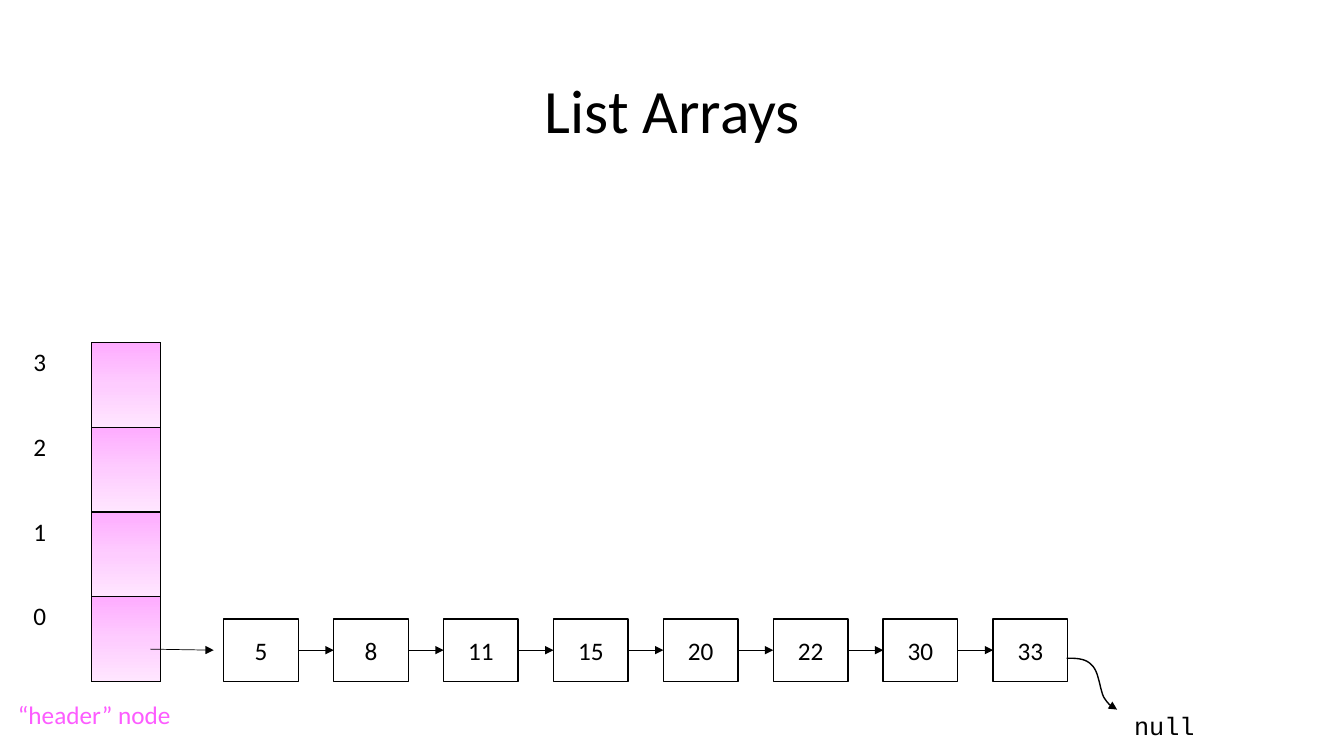
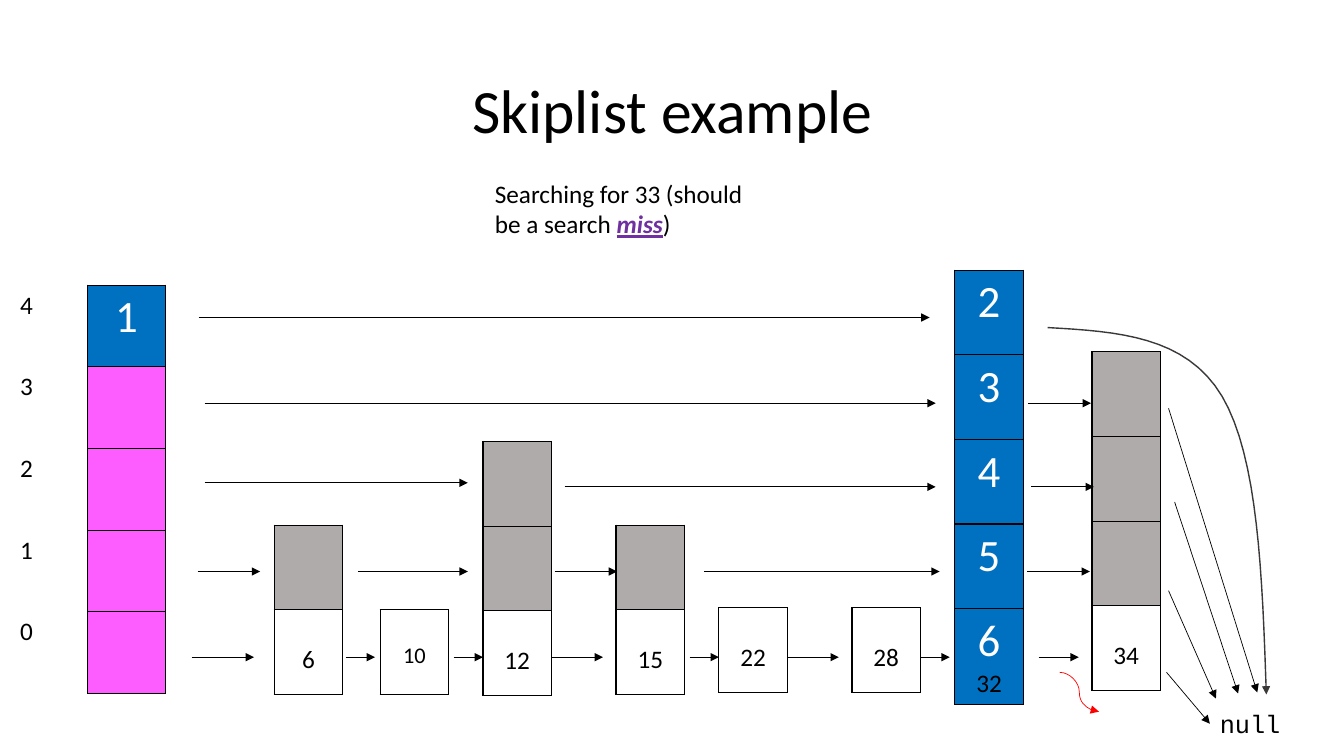
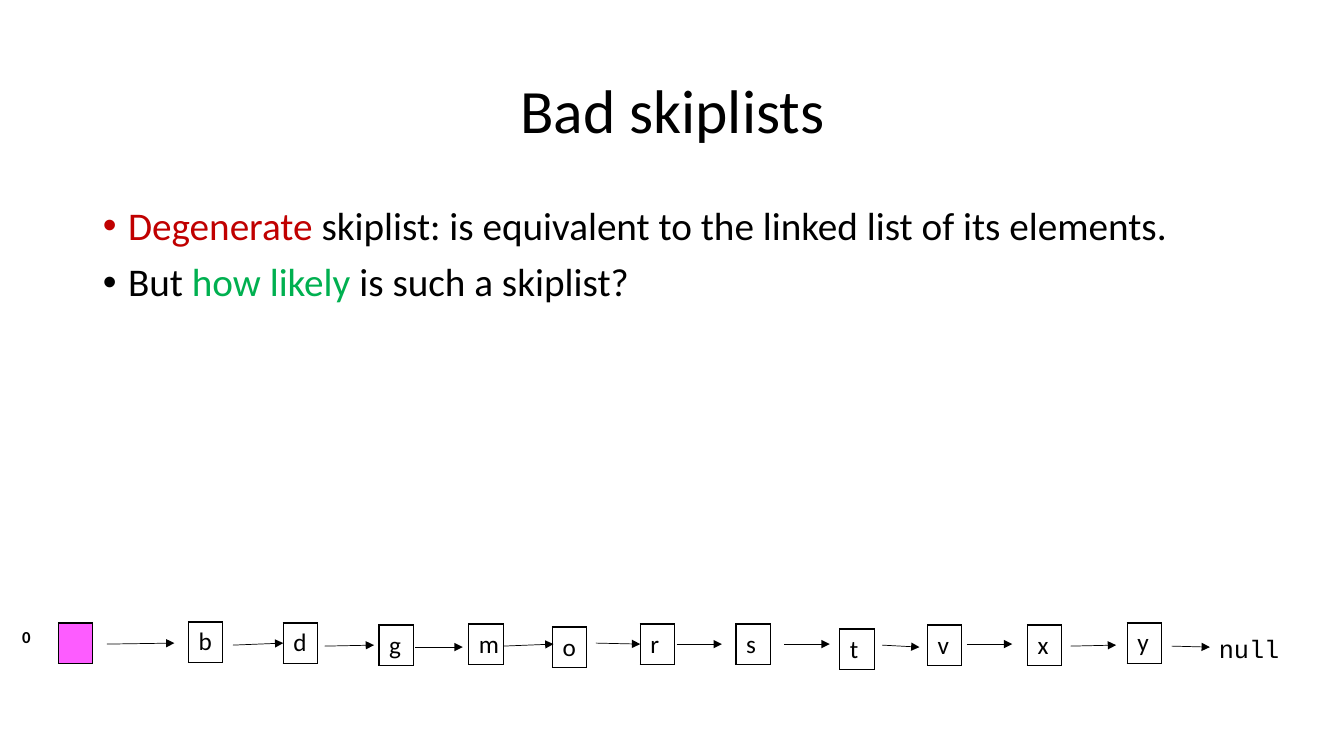
from copy import deepcopy
from dataclasses import dataclass

from lxml import etree
from pptx import Presentation
from pptx.dml.color import RGBColor
from pptx.enum import shapes, text
from pptx.oxml.ns import qn
from pptx.util import Inches, Pt


@dataclass(frozen=True)
class Theme:
    font: str = "Calibri"
    mono: str = "Courier New"
    ink: str = "000000"
    white: str = "FFFFFF"
    pink: str = "FD5CFF"
    pink_fade: tuple = ("FEACFF", "FECCFF", "FFE6FF")
    blue: str = "0070C0"
    gray: str = "AFABAB"
    charcoal: str = "3B3838"
    purple: str = "7030A0"
    signal: str = "FF0000"
    red: str = "C00000"
    green: str = "00B050"
    title_size: int = 44
    body_size: int = 28
    step_size: int = 32
    text_size: int = 18
    tight_size: int = 16
    small_size: int = 12
    border: float = 1
    arrow: float = 0.5


THEME = Theme()
PLAIN_TABLE = "{2D5ABB26-0587-4C30-8999-92F81FD0307C}"
CENTER = text.PP_ALIGN.CENTER
CELL_WIDTH, CELL_HEIGHT = 0.68, 0.84
LETTER_WIDTH, LETTER_HEIGHT = 0.34, 0.4


@dataclass
class Cell:
    """A table cell; each line is (text, format), and base is its bottom margin if set."""
    lines: tuple = ()
    fill: object = None
    align: object = CENTER
    bordered: bool = True
    base: float = None


def add_span(para, words, size=THEME.text_size, color=THEME.ink, font=THEME.font,
             bold=False, italic=False, underline=False):
    span = para.add_run()
    span.text = words
    style = span.font
    style.name, style.size = font, Pt(size)
    style.bold, style.italic, style.underline = bold, italic, underline
    style.color.rgb = RGBColor.from_string(color)


def set_line(shape, color, width, arrow=False):
    shape.line.color.rgb = RGBColor.from_string(color)
    shape.line.width = Pt(width)
    if arrow:
        line = shape._element.spPr.find(qn("a:ln"))
        etree.SubElement(line, qn("a:tailEnd"), type="triangle")


def set_cell_fill(cell, fill):
    """Fill with nothing, one colour, or a top-to-bottom fade of three colours."""
    if fill is None:
        cell.fill.background()
    elif isinstance(fill, str):
        cell.fill.solid()
        cell.fill.fore_color.rgb = RGBColor.from_string(fill)
    else:
        cell.fill.gradient()
        cell.fill.gradient_angle = 270
        stops = cell._tc.tcPr.find(".//" + qn("a:gsLst"))
        stops.insert(1, deepcopy(stops[0]))
        for stop, position, color in zip(cell.fill.gradient_stops, (0, 0.5, 1), fill):
            stop.position = position
            stop.color.rgb = RGBColor.from_string(color)


def set_cell_borders(cell):
    properties = cell._tc.get_or_add_tcPr()
    for side in ("lnL", "lnR", "lnT", "lnB"):
        line = etree.SubElement(properties, qn("a:" + side), w=str(Pt(THEME.border)))
        paint = etree.SubElement(line, qn("a:solidFill"))
        etree.SubElement(paint, qn("a:srgbClr"), val=THEME.ink)


def bezier(start, control_a, control_b, end, steps=16):
    """Points on a cubic curve, without its start."""
    points = []
    for step in range(1, steps + 1):
        t = step / steps
        weights = ((1 - t) ** 3, 3 * t * (1 - t) ** 2, 3 * t * t * (1 - t), t ** 3)
        corners = (start, control_a, control_b, end)
        points.append(tuple(sum(w * c[axis] for w, c in zip(weights, corners))
                            for axis in (0, 1)))
    return points


class Deck:
    """Holds the presentation and the page being drawn."""

    def __init__(self):
        self.deck = Presentation()
        self.deck.slide_width, self.deck.slide_height = Inches(13.33), Inches(7.5)
        self.page = None

    def new_page(self, title, layout=5):
        self.page = self.deck.slides.add_slide(self.deck.slide_layouts[layout])
        frame = self.place(self.page.shapes.title, 0.92, 0.4, 11.5, 1.45)
        frame.vertical_anchor = text.MSO_ANCHOR.MIDDLE
        para = frame.paragraphs[0]
        para.alignment, para.line_spacing = CENTER, 0.9
        add_span(para, title, size=THEME.title_size)

    def place(self, holder, left, top, width, height):
        holder.left, holder.top = Inches(left), Inches(top)
        holder.width, holder.height = Inches(width), Inches(height)
        frame = holder.text_frame
        frame.auto_size = text.MSO_AUTO_SIZE.NONE
        return frame

    def bullets(self, items):
        frame = self.place(self.page.placeholders[1], 0.92, 2, 11.5, 4.76)
        for index, spans in enumerate(items):
            para = frame.add_paragraph() if index else frame.paragraphs[0]
            properties = para._p.get_or_add_pPr()
            properties.set("marL", str(Inches(0.25)))
            properties.set("indent", str(Inches(-0.25)))
            etree.SubElement(properties, qn("a:buFont"), typeface="Arial")
            etree.SubElement(properties, qn("a:buChar"), char="•")
            para.line_spacing = 0.9
            para.space_before = Pt(10 if index else 0)
            for words, style in spans:
                add_span(para, words, size=THEME.body_size, **style)

    def label(self, left, top, width, *spans, height=0.4):
        box = self.page.shapes.add_textbox(*map(Inches, (left, top, width, height)))
        box.text_frame.word_wrap = True
        for words, style in spans:
            add_span(box.text_frame.paragraphs[0], words, **style)

    def null(self, left, top):
        self.label(left, top, 0.84, ("null", {"font": THEME.mono}))

    def box(self, left, top, width, height, words):
        box = self.page.shapes.add_shape(shapes.MSO_SHAPE.RECTANGLE,
                                         *map(Inches, (left, top, width, height)))
        box.shadow.inherit = False
        box.fill.background()
        set_line(box, THEME.ink, THEME.border)
        box.text_frame.vertical_anchor = text.MSO_ANCHOR.MIDDLE
        para = box.text_frame.paragraphs[0]
        para.alignment = CENTER
        add_span(para, words)
        return box

    def arrow(self, x1, y1, x2, y2, color=THEME.ink, kind=shapes.MSO_CONNECTOR.STRAIGHT):
        line = self.page.shapes.add_connector(kind, *map(Inches, (x1, y1, x2, y2)))
        set_line(line, color, THEME.arrow, arrow=True)
        etree.SubElement(line._element.spPr, qn("a:effectLst"))
        return line

    def join(self, source, target):
        line = self.arrow(0, 0, 1, 1)
        line.begin_connect(source, 3)
        line.end_connect(target, 1)

    def curve(self, start, *segments, color=THEME.ink):
        """An arrow along cubic segments, each (control, control, end)."""
        points = [start]
        for segment in segments:
            points += bezier(points[-1], *segment)
        points = [tuple(map(Inches, point)) for point in points]
        builder = self.page.shapes.build_freeform(*points[0])
        builder.add_line_segments(points[1:], close=False)
        outline = builder.convert_to_shape()
        outline.shadow.inherit = False
        outline.fill.background()
        set_line(outline, color, THEME.border, arrow=True)

    def table(self, left, top, widths, heights, rows):
        table = self.page.shapes.add_table(
            len(heights), len(widths),
            *map(Inches, (left, top, sum(widths), sum(heights)))).table
        table.first_row = table.horz_banding = False
        table._tbl.tblPr.find(qn("a:tableStyleId")).text = PLAIN_TABLE
        for column, width in zip(table.columns, widths):
            column.width = Inches(width)
        for row, height, contents in zip(table.rows, heights, rows):
            row.height = Inches(height)
            for cell, content in zip(row.cells, contents):
                self.fill_cell(cell, content)

    def fill_cell(self, cell, content):
        if content.bordered:
            set_cell_borders(cell)
        set_cell_fill(cell, content.fill)
        if content.base is not None:
            cell.vertical_anchor = text.MSO_ANCHOR.BOTTOM
            cell.margin_bottom = Inches(content.base)
        for index, (words, style) in enumerate(content.lines):
            para = cell.text_frame.add_paragraph() if index else cell.text_frame.paragraphs[0]
            para.alignment = content.align
            add_span(para, words, **style)

    def header(self, left, top, width, height, cells):
        """The header node, with its levels counted down to 0 on its left."""
        rows = [[Cell(((str(level), {}),), align=None, bordered=False), cell]
                for level, cell in zip(reversed(range(len(cells))), cells)]
        self.table(left, top, [width] * 2, [height] * len(cells), rows)

    def tower(self, value, left, top, levels=0, size=THEME.text_size, base=0.19):
        """A skiplist node: empty gray levels above its value."""
        cells = [[Cell(fill=THEME.gray)] for _ in range(levels)]
        cells.append([Cell(((value, {"size": size}),), base=base)])
        self.table(left, top, [CELL_WIDTH], [CELL_HEIGHT] * len(cells), cells)


def step_cell(number, *more):
    """A blue cell visited by the search."""
    style = {"size": THEME.step_size, "color": THEME.white}
    return Cell(((str(number), style), *more), THEME.blue)


def list_arrays(deck):
    deck.new_page("List Arrays")
    values = ("5", "8", "11", "15", "20", "22", "30", "33")
    nodes = [deck.box(2.22 + 1.09 * index, 6.14, 0.74, 0.62, value)
             for index, value in enumerate(values)]
    for source, target in zip(nodes, nodes[1:]):
        deck.join(source, target)
    deck.header(0.23, 3.4, CELL_WIDTH, CELL_HEIGHT, [Cell(fill=THEME.pink_fade)] * 4)
    deck.label(0.08, 6.89, 1.81, ("“header” node", {"color": THEME.pink}))
    deck.arrow(1.49, 6.44, 2.12, 6.45)
    deck.curve((10.58, 6.53),
               ((10.67, 6.53), (10.77, 6.53), (10.83, 6.6)),
               ((10.9, 6.66), (10.91, 6.85), (10.95, 6.92)),
               ((11, 7), (11.04, 7.02), (11.08, 7.04)))
    deck.null(11.15, 7)


def skiplist_example(deck):
    deck.new_page("Skiplist example")
    deck.header(0.1, 2.83, 0.77, 0.81, [step_cell(1)] + [Cell(fill=THEME.pink)] * 4)
    deck.tower("6", 2.72, 5.21, levels=1)
    deck.tower("10", 3.77, 6.05, size=THEME.tight_size, base=0.25)
    deck.tower("12", 4.79, 4.38, levels=2)
    deck.tower("15", 6.11, 5.21, levels=1)
    deck.tower("22", 7.13, 6.03)
    deck.tower("28", 8.45, 6.03)
    deck.tower("34", 10.83, 3.49, levels=3)
    visited = [[step_cell(number)] for number in range(2, 6)]
    visited.append([step_cell(6, ("32", {}))])
    deck.table(9.47, 2.68, [CELL_WIDTH], [CELL_HEIGHT] * 4 + [0.93], visited)

    links = {
        6.52: ((1.9, 2.52), (3.43, 3.72), (4.5, 4.79), (5.47, 5.98), (6.84, 7.13),
               (7.82, 8.32), (9.13, 9.42), (10.3, 10.7)),
        5.67: ((1.96, 2.58), (3.55, 4.64), (5.5, 6.12), (6.98, 9.32), (10.19, 10.81)),
        4.83: ((5.6, 9.28), (10.23, 10.85)),
        4.79: ((2.03, 4.64),),
        4: ((2.03, 9.28), (10.2, 10.82)),
        3.15: ((1.97, 9.22),),
    }
    for y, spans in links.items():
        for start, end in spans:
            deck.arrow(start, y, end, y)
    for ends in ((11.57, 6.67, 12, 7.18), (11.59, 5.86, 12.06, 6.93),
                 (11.65, 4.98, 12.28, 6.88), (11.59, 4.05, 12.47, 6.87)):
        deck.arrow(*ends)
    deck.curve((10.39, 3.25),
               ((11.08, 3.29), (11.76, 3.33), (12.12, 3.93)),
               ((12.48, 4.54), (12.52, 5.71), (12.56, 6.89)), color=THEME.charcoal)
    deck.arrow(10.51, 6.67, 10.9, 7.06, color=THEME.signal, kind=shapes.MSO_CONNECTOR.CURVE)
    deck.null(12, 6.98)
    emphasis = {"color": THEME.purple, "bold": True, "italic": True, "underline": True}
    deck.label(4.81, 1.72, 2.92, ("Searching for 33 (should be a search ", {}),
               ("miss", emphasis), (")", {}), height=0.71)


def bad_skiplists(deck):
    deck.new_page("Bad skiplists", layout=1)
    deck.bullets((
        (("Degenerate ", {"color": THEME.red}),
         ("skiplist: is equivalent to the linked list of its elements.", {})),
        (("But ", {}), ("how likely ", {"color": THEME.green}),
         ("is such a skiplist?", {})),
    ))
    level = Cell((("0", {"size": THEME.small_size, "bold": True}),),
                 align=None, bordered=False)
    deck.table(0.12, 6.18, [0.46, LETTER_WIDTH], [LETTER_HEIGHT],
               [[level, Cell(fill=THEME.pink)]])
    letters = (("b", 1.87, 6.17), ("d", 2.81, 6.18), ("g", 3.76, 6.2), ("m", 4.65, 6.19),
               ("o", 5.48, 6.22), ("r", 6.35, 6.19), ("s", 7.3, 6.19), ("t", 8.33, 6.24),
               ("v", 9.2, 6.2), ("x", 10.19, 6.2), ("y", 11.18, 6.18))
    for letter, left, top in letters:
        deck.table(left, top, [LETTER_WIDTH], [LETTER_HEIGHT],
                   [[Cell(((letter, {}),), align=None)]])
    links = ((1.06, 6.39, 1.73, 6.38), (2.31, 6.4, 2.81, 6.38), (3.22, 6.41, 3.71, 6.4),
             (4.12, 6.42, 4.59, 6.42), (4.99, 6.41, 5.49, 6.39), (5.91, 6.38, 6.35, 6.39),
             (6.71, 6.39, 7.16, 6.39), (7.78, 6.39, 8.23, 6.39), (8.75, 6.4, 9.12, 6.42),
             (9.59, 6.39, 10.04, 6.39), (10.62, 6.41, 11.07, 6.4), (11.62, 6.41, 12, 6.42))
    for ends in links:
        deck.arrow(*ends)
    deck.null(11.99, 6.23)


def main():
    deck = Deck()
    list_arrays(deck)
    skiplist_example(deck)
    bad_skiplists(deck)
    deck.deck.save("out.pptx")


if __name__ == "__main__":
    main()
